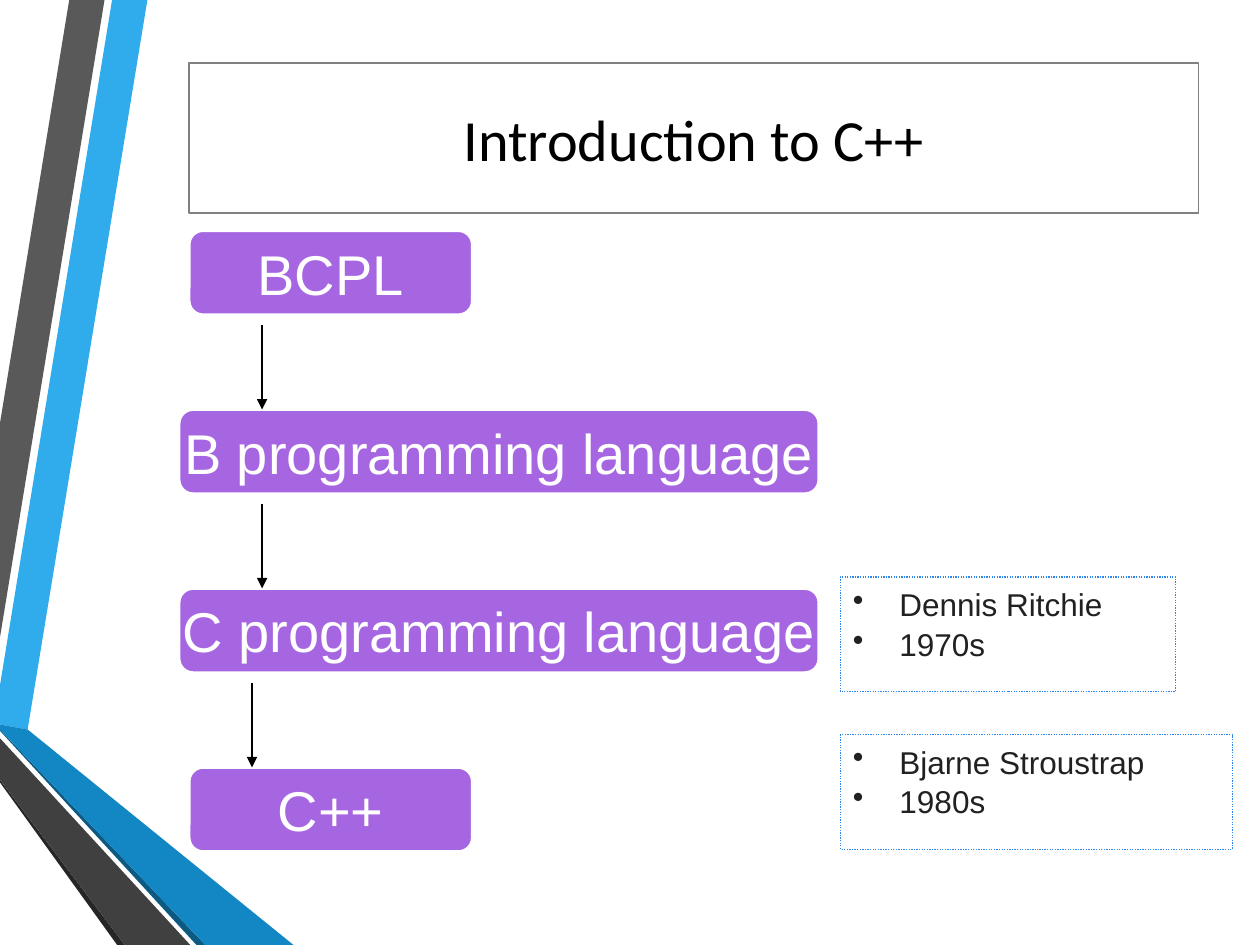
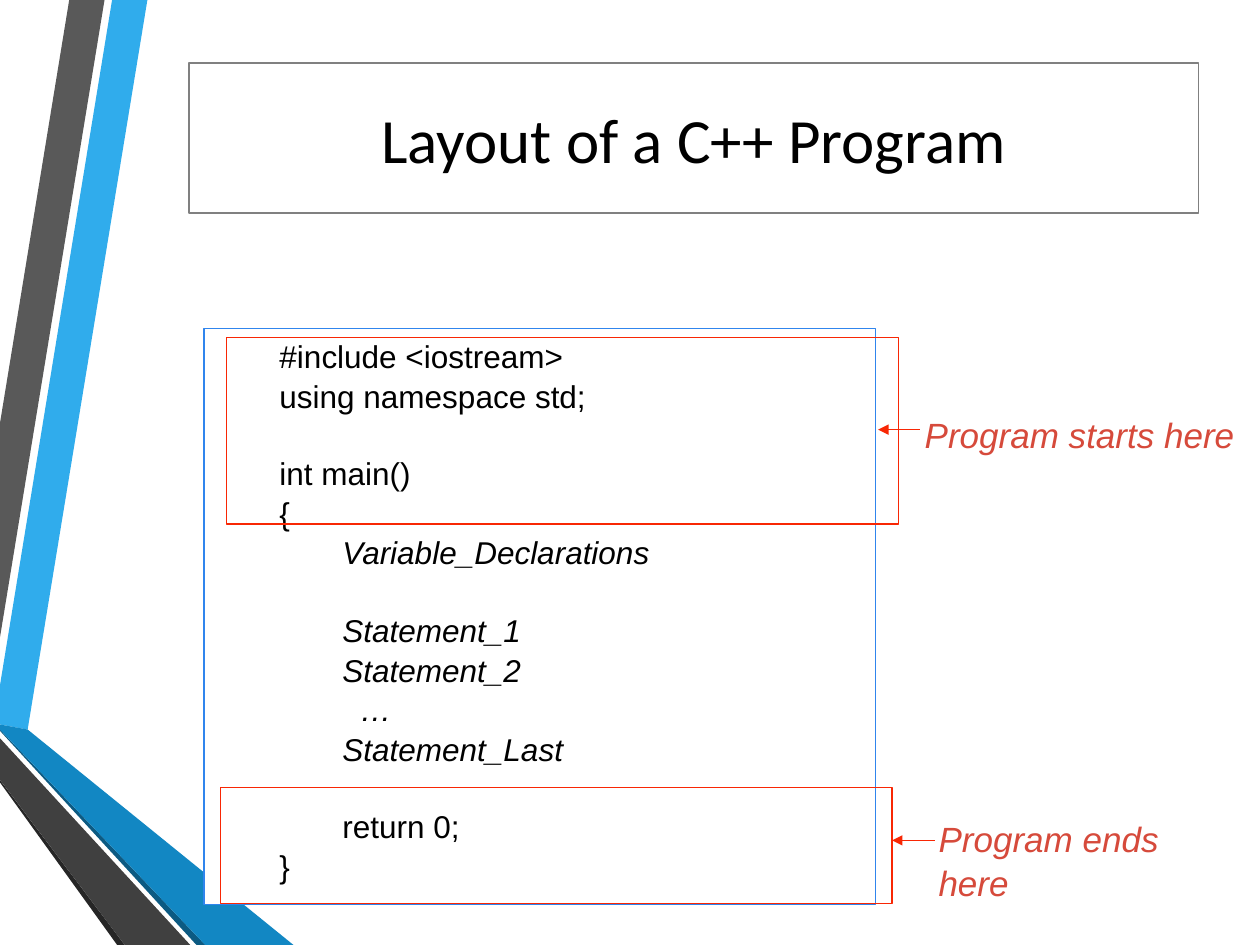
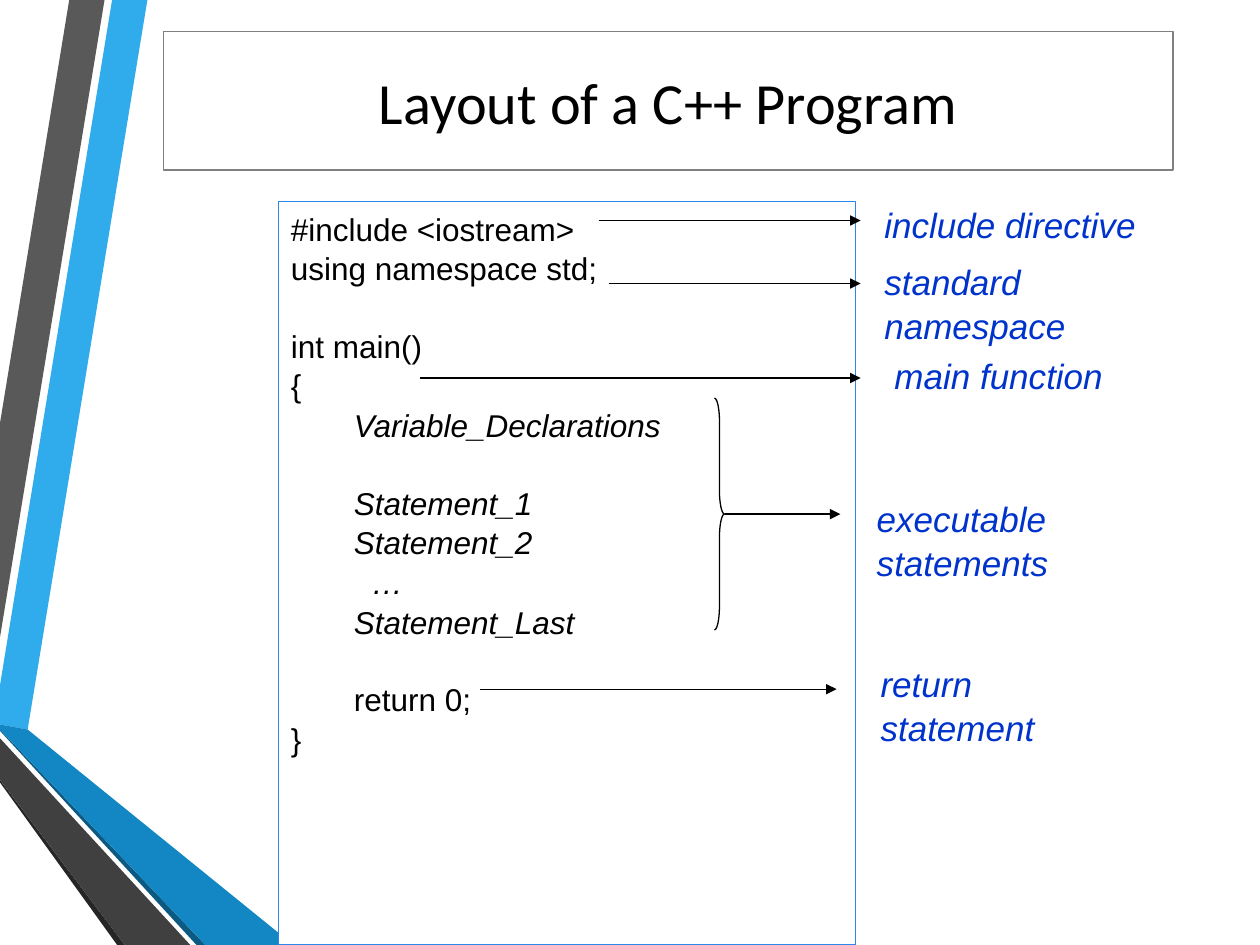
import dataclasses

import pptx
import pptx.dml.color
import pptx.enum.dml
import pptx.enum.shapes
import pptx.enum.text
import pptx.oxml
import pptx.oxml.ns
import pptx.util
from lxml import etree

IN = pptx.util.Inches
PT = pptx.util.Pt
SHAPE = pptx.enum.shapes.MSO_SHAPE
ALIGN = pptx.enum.text.PP_ALIGN
ANCHOR = pptx.enum.text.MSO_ANCHOR


@dataclasses.dataclass(frozen=True)
class Theme:
    white: str = "FFFFFF"
    black: str = "000000"
    gray: str = "808080"
    ink: str = "212121"
    purple: str = "A666E1"
    blue: str = "3085ED"
    red: str = "F82704"
    coral: str = "D64A3B"
    navy: str = "0033CC"
    body_font: str = "Arial"
    title_font: str = "Calibri"
    step_size: float = 32
    code_size: float = 18
    note_size: float = 20
    title_size: float = 33.3
    big_title_size: float = 36
    hairline: float = 0.75
    spacing: float = 1.05
    blank_line: float = 21.6
    tab: float = 0.5


T = Theme()

RIBBONS = [
    ("30ACEC", [(0, 5.44), (0, 5.75), (0.22, 5.79), (1.17, 0), (0.89, 0)]),
    ("595959", [(0.83, 0), (0.55, 0), (0, 3.36), (0, 5.06)]),
    ("262626", [(0, 6.19), (0, 6.21), (0.93, 7.5), (0.99, 7.5)]),
    ("0C5A82", [(0, 5.79), (0, 5.8), (1.56, 7.5), (1.63, 7.5)]),
    ("1287C3", [(0, 5.79), (1.63, 7.5), (2.33, 7.5), (0.22, 5.79), (0, 5.75)]),
    ("404040", [(0, 6.19), (0.99, 7.5), (1.51, 7.5), (0, 5.86)]),
]

TITLE_AT = (1.5, 0.5, 8.01, 1.19)
HIGH_TITLE_AT = (1.3, 0.25, 8.01, 1.1)

STEP_TOP, STEP_PITCH, STEP_HEIGHT = 1.83, 1.42, 0.67
STEPS = [
    ("BCPL", 1.5, 2.25, None),
    ("B programming language", 1.42, 5.08, 2.08),
    ("C programming language", 1.42, 5.08, 2.08),
    ("C++", 1.5, 2.25, 2),
]
CREDITS = [
    (("Dennis Ritchie", "1970s"), (6.67, 4.58, 2.66, 0.91)),
    (("Bjarne Stroustrap", "1980s"), (6.67, 5.83, 3.11, 0.91)),
]

CODE = [
    (0, "#include <iostream>", False),
    (0, "using namespace std;", False),
    None,
    (0, "int main()", False),
    (0, "{", False),
    (1, "Variable_Declarations", True),
    None,
    (1, "Statement_1", True),
    (1, "Statement_2", True),
    (1.28, "…", True),
    (1, "Statement_Last", True),
    None,
    (1, "return 0;", False),
    (0, "}", False),
]

FRAMES = [
    {"frame": (1.75, 6.25, 5.33, 0.92), "label": "Program ends here",
     "at": (7.35, 6.42, 2.58, 0.43), "arrow": (7.42, 7.08, 6.67), "wrap": True},
    {"frame": (1.8, 2.68, 5.33, 1.48), "label": "Program starts here",
     "at": (7.24, 3.22, 2.68, 0.44), "arrow": (7.3, 6.97, 3.41), "wrap": False},
]
BRACE_AT = (5.67, 3.16, 0.08, 1.84)
PARTS = [
    ("include directive", (6.92, 1.55, 2.19, 0.43), (4.75, 6.83, 1.75), False),
    ("standard namespace", (6.92, 2, 2.79, 0.43), (4.83, 6.83, 2.25), True),
    ("main function", (7, 2.75, 1.85, 0.43), (3.33, 6.83, 3), False),
    ("return statement", (6.89, 5.19, 2.22, 0.43), (3.81, 6.64, 5.47), True),
    ("executable statements", (6.86, 3.88, 2.98, 0.34), (5.75, 6.67, 4.08), True),
]


def apply(obj, **values):
    for name, value in values.items():
        setattr(obj, name, value)


def rgb(color):
    return pptx.dml.color.RGBColor.from_string(color)


def paint(sp, fill=None, line=None, width=T.hairline):
    if fill:
        sp.fill.solid()
        sp.fill.fore_color.rgb = rgb(fill)
    else:
        sp.fill.background()
    if line:
        sp.line.color.rgb = rgb(line)
        sp.line.width = PT(width)
    else:
        sp.line.fill.background()


def add_box(s, at, fill=None, line=None, width=T.hairline, kind=SHAPE.RECTANGLE):
    sp = s.shapes.add_shape(kind, *map(IN, at))
    sp.shadow.inherit = False
    paint(sp, fill, line, width)
    return sp


def setup_text(sp, anchor=ANCHOR.TOP, wrap=True):
    tf = sp.text_frame
    apply(tf, word_wrap=wrap, vertical_anchor=anchor,
          auto_size=pptx.enum.text.MSO_AUTO_SIZE.NONE)
    return tf


def add_line(tf, index, text, size, color, font=T.body_font, italic=False,
             align=ALIGN.LEFT, spacing=T.spacing):
    p = tf.add_paragraph() if index else tf.paragraphs[0]
    apply(p, alignment=align, line_spacing=spacing)
    r = p.add_run()
    r.text = text
    apply(r.font, name=font, size=PT(size), italic=italic)
    r.font.color.rgb = rgb(color)
    return p


def add_arrow(s, start, end, color=T.black):
    c = s.shapes.add_connector(pptx.enum.shapes.MSO_CONNECTOR.STRAIGHT,
                               *map(IN, start + end))
    c.line.color.rgb = rgb(color)
    c.line.width = PT(T.hairline)
    qn = pptx.oxml.ns.qn
    spPr = c.element.spPr
    etree.SubElement(spPr.find(qn("a:ln")), qn("a:tailEnd"), type="triangle")
    etree.SubElement(spPr, qn("a:effectLst"))


def add_label(s, text, at, color, wrap, fill=None):
    tf = setup_text(add_box(s, at, fill), wrap=wrap)
    if wrap:
        tf.margin_right = IN(0.6)
    add_line(tf, 0, text, T.note_size, color, italic=True)


def add_code(s, at, base):
    tf = setup_text(add_box(s, at, T.white, T.blue))
    gap = False
    for i, row in enumerate(CODE):
        if row is None:
            gap = True
            continue
        level, text, italic = row
        p = add_line(tf, i, text, T.code_size, T.black, italic=italic)
        p.space_before = PT(T.blank_line if gap else 0)
        p._p.get_or_add_pPr().set("marL", str(IN((base + level) * T.tab)))
        gap = False


def add_bullets(s, lines, at):
    sp = add_box(s, at, T.white, T.blue)
    sp.line.dash_style = pptx.enum.dml.MSO_LINE.ROUND_DOT
    tf = setup_text(sp)
    hang = IN(0.37)
    for i, text in enumerate(lines):
        pPr = add_line(tf, i, text, T.code_size, T.ink)._p.get_or_add_pPr()
        pPr.set("marL", str(hang))
        pPr.set("indent", str(-hang))
        etree.SubElement(pPr, pptx.oxml.ns.qn("a:buChar"), char="•")


def add_slide(prs, title, at=TITLE_AT, size=T.title_size):
    s = prs.slides.add_slide(prs.slide_layouts[5])
    sp = s.shapes.title
    apply(sp, **dict(zip(("left", "top", "width", "height"), map(IN, at))))
    paint(sp, T.white, T.gray)
    add_line(setup_text(sp, ANCHOR.MIDDLE), 0, title, size, T.black,
             T.title_font, align=ALIGN.CENTER, spacing=1)
    return s


def move_ribbons_to_master(prs, s):
    for color, points in RIBBONS:
        (x, y), *rest = [tuple(map(IN, point)) for point in points]
        fb = s.shapes.build_freeform(x, y)
        fb.add_line_segments(rest, close=True)
        sp = fb.convert_to_shape()
        sp.shadow.inherit = False
        paint(sp, color)
        prs.slide_master.shapes.element.append(sp.element)


def build_history(prs):
    s = add_slide(prs, "Introduction to C++")
    move_ribbons_to_master(prs, s)
    for i, (text, left, width, arrow_x) in enumerate(STEPS):
        top = STEP_TOP + i * STEP_PITCH
        sp = add_box(s, (left, top, width, STEP_HEIGHT), T.purple, T.white, 1.75,
                     SHAPE.ROUNDED_RECTANGLE)
        add_line(setup_text(sp, ANCHOR.MIDDLE, False), 0, text, T.step_size,
                 T.white, align=ALIGN.CENTER, spacing=1)
        if arrow_x:
            add_arrow(s, (arrow_x, top - STEP_HEIGHT), (arrow_x, top))
    for lines, at in CREDITS:
        add_bullets(s, lines, at)


def build_start_and_end(prs):
    s = add_slide(prs, "Layout of a C++ Program", size=T.big_title_size)
    add_code(s, (1.62, 2.61, 5.33, 4.57), base=1)
    for item in FRAMES:
        add_box(s, item["frame"], line=T.red)
        add_label(s, item["label"], item["at"], T.coral, item["wrap"])
        x1, x2, y = item["arrow"]
        add_arrow(s, (x1, y), (x2, y), T.red)


def build_parts(prs):
    s = add_slide(prs, "Layout of a C++ Program", HIGH_TITLE_AT)
    add_code(s, (2.21, 1.6, 4.58, 5.9), base=0)
    brace = add_box(s, BRACE_AT, T.white, T.black, kind=SHAPE.RIGHT_BRACE)
    brace.adjustments[0] = 2.33
    for text, at, (x1, x2, y), wrap in PARTS:
        add_arrow(s, (x1, y), (x2, y))
        add_label(s, text, at, T.navy, wrap, T.white)


def main():
    prs = pptx.Presentation()
    apply(prs, slide_width=IN(10), slide_height=IN(7.5))
    build_history(prs)
    build_start_and_end(prs)
    build_parts(prs)
    prs.save("out.pptx")


if __name__ == "__main__":
    main()
